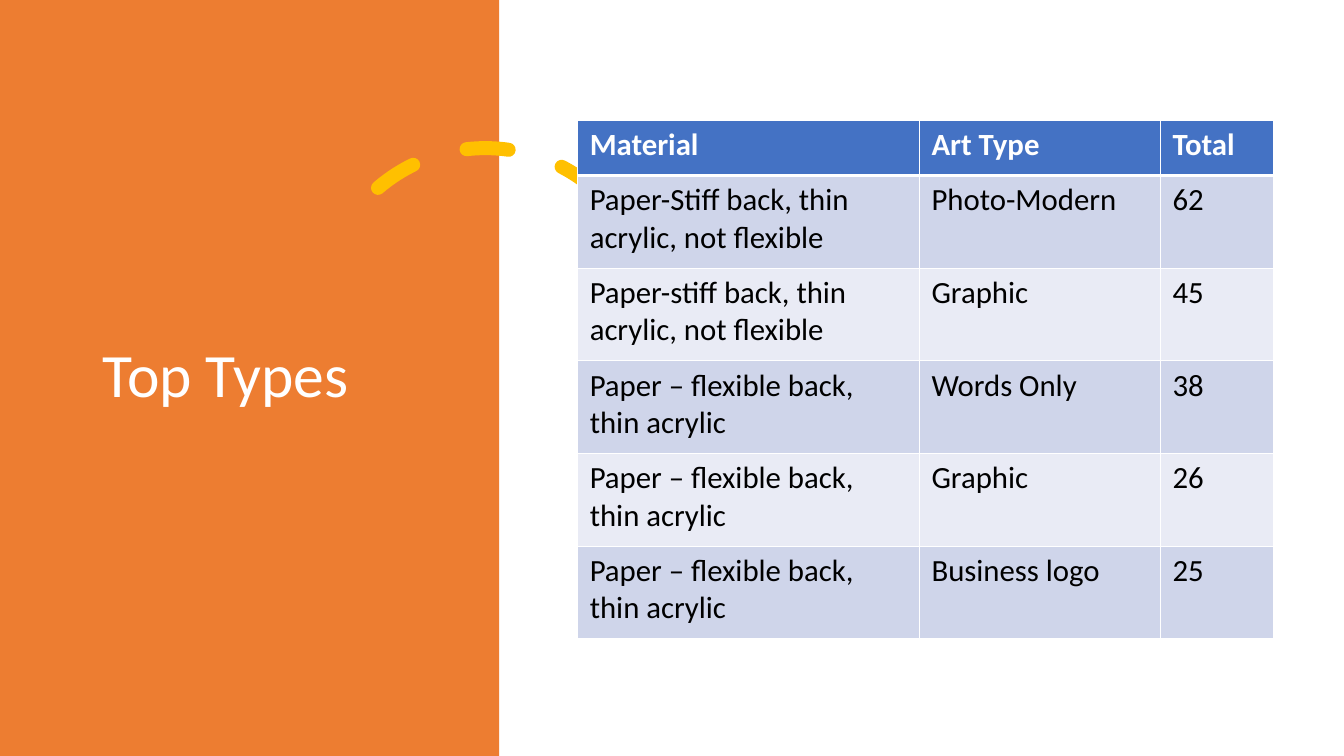
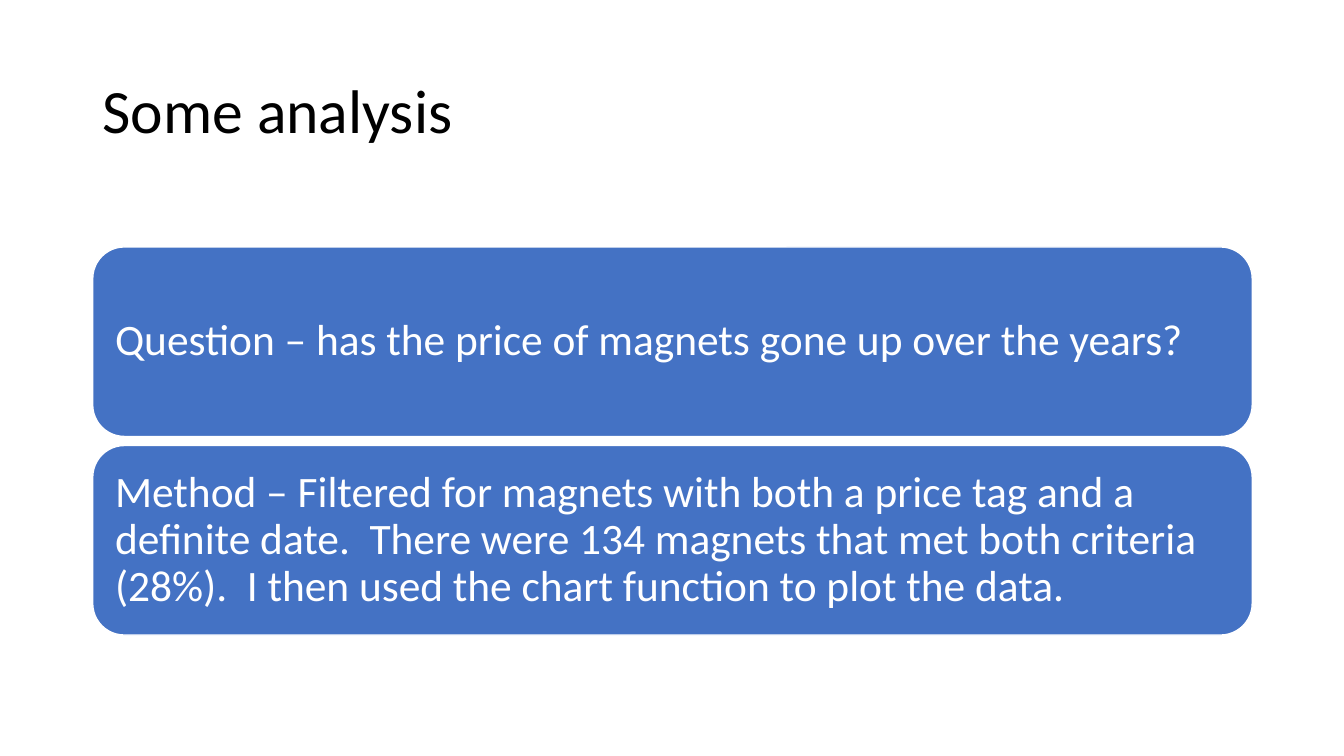
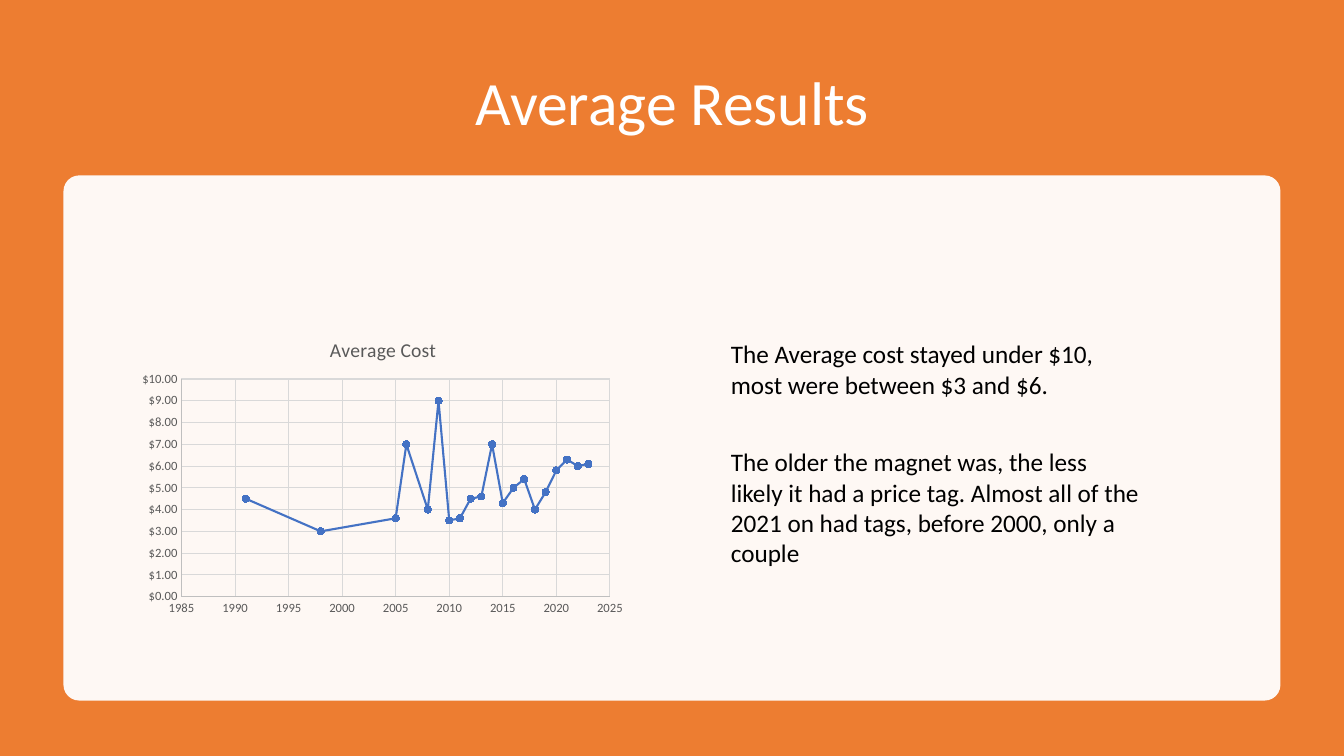
from dataclasses import dataclass
from typing import Any, NamedTuple

from lxml.etree import Element, SubElement
from pptx import Presentation
from pptx.chart.data import XyChartData
from pptx.dml.color import RGBColor
from pptx.enum.chart import XL_CHART_TYPE as ChartType
from pptx.enum.chart import XL_MARKER_STYLE as Marker
from pptx.enum.chart import XL_TICK_MARK as Tick
from pptx.enum.dml import MSO_LINE_DASH_STYLE as Dash
from pptx.enum.shapes import MSO_SHAPE as Preset
from pptx.enum.text import MSO_ANCHOR as Anchor
from pptx.enum.text import PP_ALIGN as Align
from pptx.oxml.ns import qn
from pptx.util import Emu, Pt

# Shared look
EMU_PER_PX = 9144
PAGE_WIDTH, PAGE_HEIGHT = 1333, 750
FONT = "Calibri"
COLORS = {
    "white": "FFFFFF", "black": "000000", "orange": "ED7D31", "gold": "FFC000",
    "blue": "4472C4", "band_dark": "CFD5EA", "band_light": "E9EBF5",
    "axis_text": "595959", "axis_line": "BFBFBF", "grid": "D9D9D9",
}


class Rect(NamedTuple):
    left: int
    top: int
    width: int
    height: int


@dataclass(frozen=True)
class TextStyle:
    size: int
    color: str
    bold: bool = False


@dataclass(frozen=True)
class Title:
    text: str
    rect: Rect
    color: str
    align: Align = Align.LEFT


@dataclass(frozen=True)
class AxisRange:
    low: int
    high: int
    step: int
    number_format: str


# Content
TITLES = [
    Title("Top Types", Rect(92, 70, 323, 609), "white"),
    Title("Some analysis", Rect(92, 40, 1150, 145), "black"),
    Title("Average Results", Rect(92, 50, 1150, 110), "white", Align.CENTER),
]
TYPE_COLUMNS = [339, 239, 112]
STIFF = "acrylic, not flexible"
FLEXIBLE = "Paper – flexible back, thin acrylic"
TYPE_ROWS = [
    ("Material", "Art Type", "Total"),
    (f"Paper-Stiff back, thin {STIFF}", "Photo-Modern", "62"),
    (f"Paper-stiff back, thin {STIFF}", "Graphic", "45"),
    (FLEXIBLE, "Words Only", "38"),
    (FLEXIBLE, "Graphic", "26"),
    (FLEXIBLE, "Business logo", "25"),
]
ANALYSIS_CARDS = [
    "Question – has the price of magnets gone up over the years?",
    "Method – Filtered for magnets with both a price tag and a definite date.  "
    "There were 134 magnets that met both criteria (28%).  "
    "I then used the chart function to plot the data.",
]
COST_YEARS = [1991, 1998, 2005, 2006, *range(2008, 2024)]
COSTS = [4.5, 3, 3.6, 7, 4, 9, 3.5, 3.6, 4.5, 4.6,
         7, 4.3, 5, 5.4, 4, 4.8, 5.8, 6.3, 6, 6.1]
YEAR_AXIS = AxisRange(1985, 2025, 5, "General")
COST_AXIS = AxisRange(0, 10, 1, '"$"#,##0.00')
PLOT_LAYOUT = {"x": 0.1, "y": 0.19, "w": 0.85, "h": 0.72}
FINDINGS = [
    "The Average cost stayed under $10, most were between $3 and $6.",
    "The older the magnet was, the less likely it had a price tag. "
    "Almost all of the 2021 on had tags, before 2000, only a couple",
]


# Helpers
def px(length: int) -> Emu:
    return Emu(length * EMU_PER_PX)


def place(rect: Rect) -> list[Emu]:
    return [px(length) for length in rect]


def rgb(color: str) -> RGBColor:
    return RGBColor.from_string(COLORS[color])


def apply(target: Any, values: dict[str, Any]) -> None:
    for name, value in values.items():
        setattr(target, name, value)


def style_font(font: Any, style: TextStyle) -> None:
    apply(font, {"name": FONT, "size": Pt(style.size), "bold": style.bold})
    font.color.rgb = rgb(style.color)


def style_line(line: Any, color: str, width: float) -> None:
    line.color.rgb = rgb(color)
    line.width = Pt(width)


def write_para(para: Any, text: str, style: TextStyle, **layout: Any) -> None:
    span = para.add_run()
    span.text = text
    style_font(span.font, style)
    apply(para, layout)


def add_panel(page: Any, rect: Rect, fill: str, preset: Preset = Preset.RECTANGLE) -> Any:
    panel = page.shapes.add_shape(preset, *place(rect))
    panel.shadow.inherit = False
    panel.fill.solid()
    panel.fill.fore_color.rgb = rgb(fill)
    panel.line.fill.background()
    return panel


def add_title(page: Any, title: Title) -> None:
    box = page.shapes.add_textbox(*place(title.rect))
    apply(box.text_frame, {"word_wrap": True, "vertical_anchor": Anchor.MIDDLE})
    write_para(box.text_frame.paragraphs[0], title.text, TextStyle(44, title.color),
               alignment=title.align, line_spacing=0.9)


# Page 1: table of top types
def add_dashed_arc(page: Any) -> None:
    arc = page.shapes.add_shape(Preset.ARC, *place(Rect(318, 147, 327, 327)))
    arc.shadow.inherit = False
    arc.fill.background()
    arc.rotation = 345.8
    arc.adjustments[0] = 146.13
    arc.adjustments[1] = 0
    style_line(arc.line, "gold", 10)
    arc.line.dash_style = Dash.DASH
    arc.element.spPr.find(qn("a:ln")).set("cap", "rnd")


def add_borders(cell: Any, widths: dict[str, int]) -> None:
    properties = cell._tc.get_or_add_tcPr()
    for side, width in widths.items():
        border = SubElement(properties, qn(f"a:ln{side}"), w=str(Pt(width)))
        fill = SubElement(border, qn("a:solidFill"))
        SubElement(fill, qn("a:srgbClr"), val=COLORS["white"])


def add_type_table(page: Any) -> None:
    rect = Rect(573, 119, sum(TYPE_COLUMNS), 515)
    frame = page.shapes.add_table(len(TYPE_ROWS), len(TYPE_COLUMNS), *place(rect))
    table = frame.table
    apply(table, {"first_row": False, "horz_banding": False})
    for column, width in zip(table.columns, TYPE_COLUMNS):
        column.width = px(width)
    margins = {"margin_left": px(12), "margin_right": px(12),
               "margin_top": px(6), "margin_bottom": px(6)}
    for index, texts in enumerate(TYPE_ROWS):
        is_header = index == 0
        table.rows[index].height = px(55 if is_header else 92)
        band = "blue" if is_header else ("band_light", "band_dark")[index % 2]
        style = TextStyle(22, "white" if is_header else "black", is_header)
        borders = {"L": 1, "R": 1, "T": 3 if index == 1 else 1, "B": 3 if is_header else 1}
        for cell, text in zip(table.rows[index].cells, texts):
            apply(cell, margins)
            add_borders(cell, borders)
            cell.fill.solid()
            cell.fill.fore_color.rgb = rgb(band)
            write_para(cell.text_frame.paragraphs[0], text, style)


def build_types(page: Any) -> None:
    add_panel(page, Rect(0, 0, 495, PAGE_HEIGHT), "orange")
    add_dashed_arc(page)
    add_type_table(page)


# Page 2: question and method cards
def build_analysis(page: Any) -> None:
    height, gap = 188, 9
    for index, text in enumerate(ANALYSIS_CARDS):
        rect = Rect(92, 245 + index * (height + gap), 1150, height)
        card = add_panel(page, rect, "blue", Preset.ROUNDED_RECTANGLE)
        style_line(card.line, "white", 1)
        margins = {f"margin_{side}": px(13) for side in ("left", "top", "right", "bottom")}
        apply(card.text_frame, {"word_wrap": True, "vertical_anchor": Anchor.MIDDLE, **margins})
        write_para(card.text_frame.paragraphs[0], text, TextStyle(31, "white"),
                   alignment=Align.LEFT, line_spacing=0.9)


# Page 3: cost chart and findings
def style_axis(axis: Any, limits: AxisRange) -> None:
    apply(axis, {
        "minimum_scale": limits.low, "maximum_scale": limits.high,
        "major_unit": limits.step, "has_major_gridlines": True,
        "major_tick_mark": Tick.NONE, "minor_tick_mark": Tick.NONE,
    })
    apply(axis.tick_labels, {"number_format": limits.number_format,
                             "number_format_is_linked": False})
    style_font(axis.tick_labels.font, TextStyle(9, "axis_text"))
    style_line(axis.format.line, "axis_line", 0.75)
    style_line(axis.major_gridlines.format.line, "grid", 0.75)


def set_plot_layout(chart: Any) -> None:
    plot_area = chart.element.find(f".//{qn('c:plotArea')}")
    layout = plot_area.find(qn("c:layout"))
    if layout is None:
        layout = Element(qn("c:layout"))
        plot_area.insert(0, layout)
    manual = SubElement(layout, qn("c:manualLayout"))
    settings = {"layoutTarget": "inner", "xMode": "edge", "yMode": "edge", **PLOT_LAYOUT}
    for name, value in settings.items():
        SubElement(manual, qn(f"c:{name}"), val=str(value))


def add_cost_chart(page: Any) -> None:
    data = XyChartData()
    points = data.add_series("Series 1")
    for year, cost in zip(COST_YEARS, COSTS):
        points.add_data_point(year, cost)
    chart = page.shapes.add_chart(
        ChartType.XY_SCATTER_SMOOTH, *place(Rect(130, 319, 500, 300)), data).chart
    style_font(chart.font, TextStyle(10, "black"))
    chart.has_legend = False
    chart.has_title = True
    write_para(chart.chart_title.text_frame.paragraphs[0], "Average Cost",
               TextStyle(14, "axis_text"))
    style_axis(chart.category_axis, YEAR_AXIS)
    style_axis(chart.value_axis, COST_AXIS)
    set_plot_layout(chart)

    plot = chart.plots[0]
    plot.vary_by_categories = False
    series = plot.series[0]
    series.smooth = True
    style_line(series.format.line, "blue", 1.5)
    apply(series.marker, {"style": Marker.CIRCLE, "size": 5})
    series.marker.format.fill.solid()
    series.marker.format.fill.fore_color.rgb = rgb("blue")
    style_line(series.marker.format.line, "blue", 0.75)


def add_findings(page: Any) -> None:
    box = page.shapes.add_textbox(*place(Rect(715, 331, 429, 239)))
    frame = box.text_frame
    frame.word_wrap = True
    for index, text in enumerate(FINDINGS):
        para = frame.add_paragraph() if index else frame.paragraphs[0]
        write_para(para, text, TextStyle(18, "black"),
                   space_before=Pt(28 if index else 0), space_after=Pt(6))


def build_results(page: Any) -> None:
    add_panel(page, Rect(0, 0, PAGE_WIDTH, PAGE_HEIGHT), "orange")
    sheet = add_panel(page, Rect(63, 174, 1207, 521), "white", Preset.ROUNDED_RECTANGLE)
    sheet.adjustments[0] = 0.03
    color = sheet.element.spPr.find(f"{qn('a:solidFill')}/{qn('a:srgbClr')}")
    SubElement(color, qn("a:alpha"), val="95000")
    add_cost_chart(page)
    add_findings(page)


def main() -> None:
    deck = Presentation()
    apply(deck, {"slide_width": px(PAGE_WIDTH), "slide_height": px(PAGE_HEIGHT)})
    for title, build in zip(TITLES, (build_types, build_analysis, build_results)):
        page = deck.slides.add_slide(deck.slide_layouts[6])
        build(page)
        add_title(page, title)
    deck.save("out.pptx")


if __name__ == "__main__":
    main()
